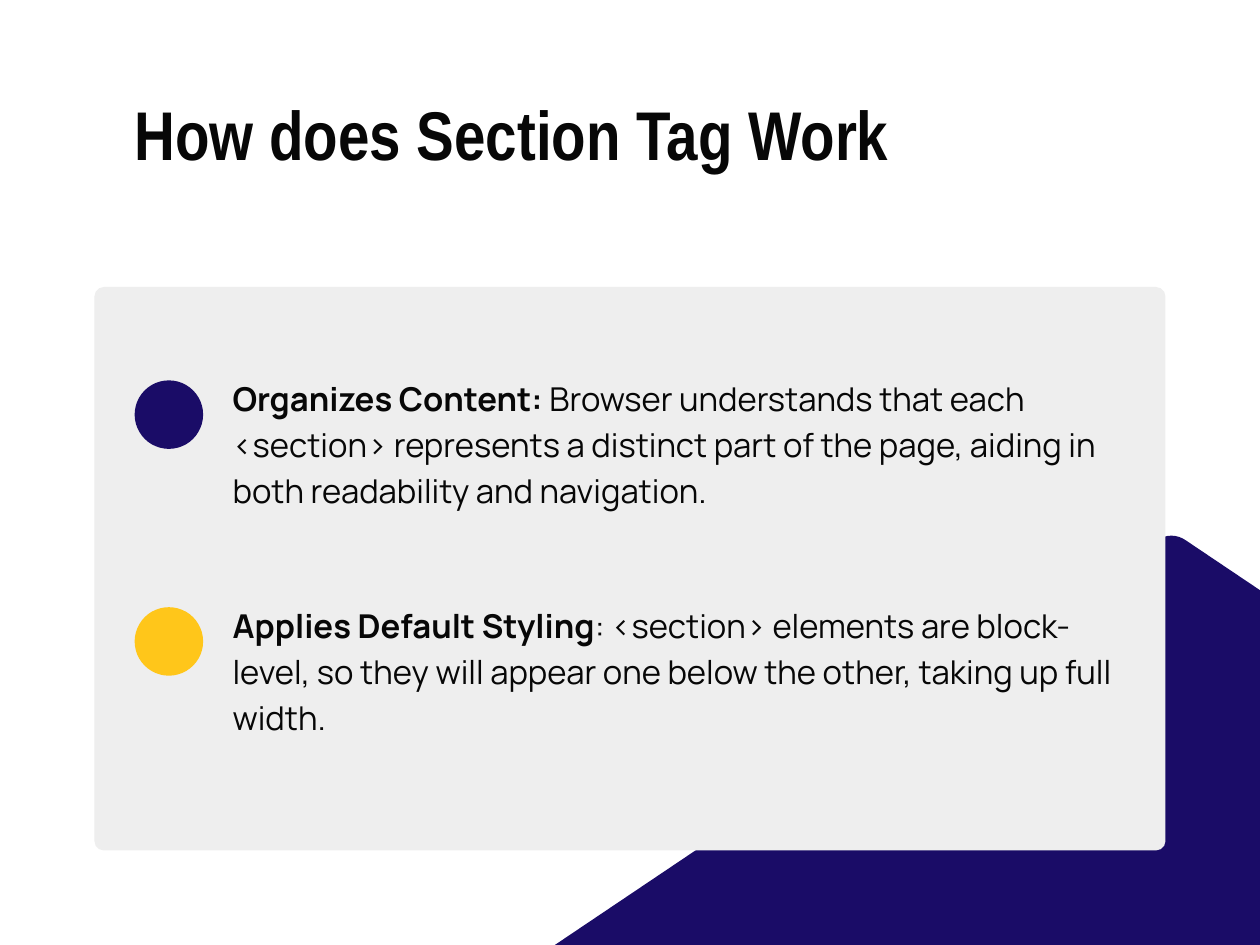
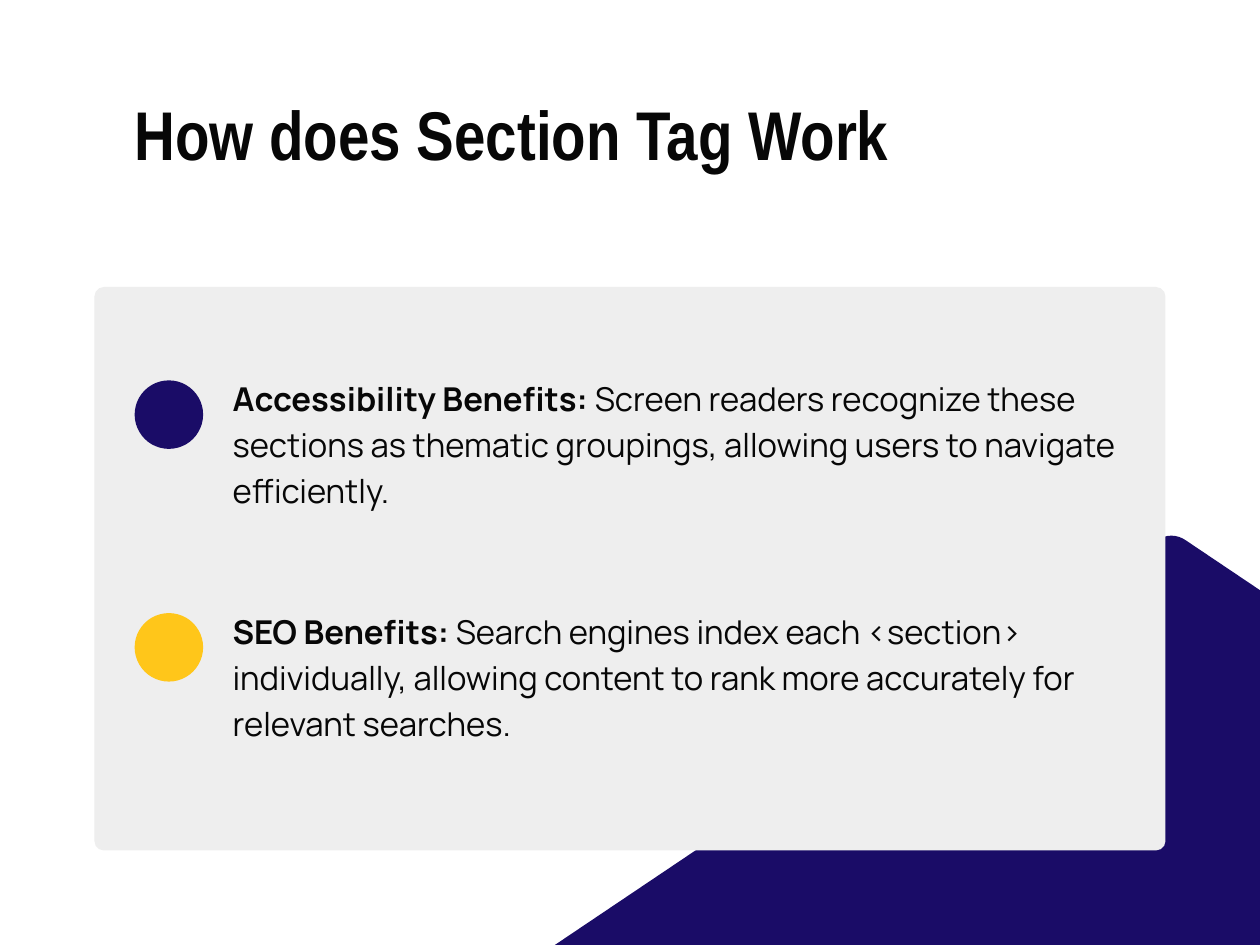
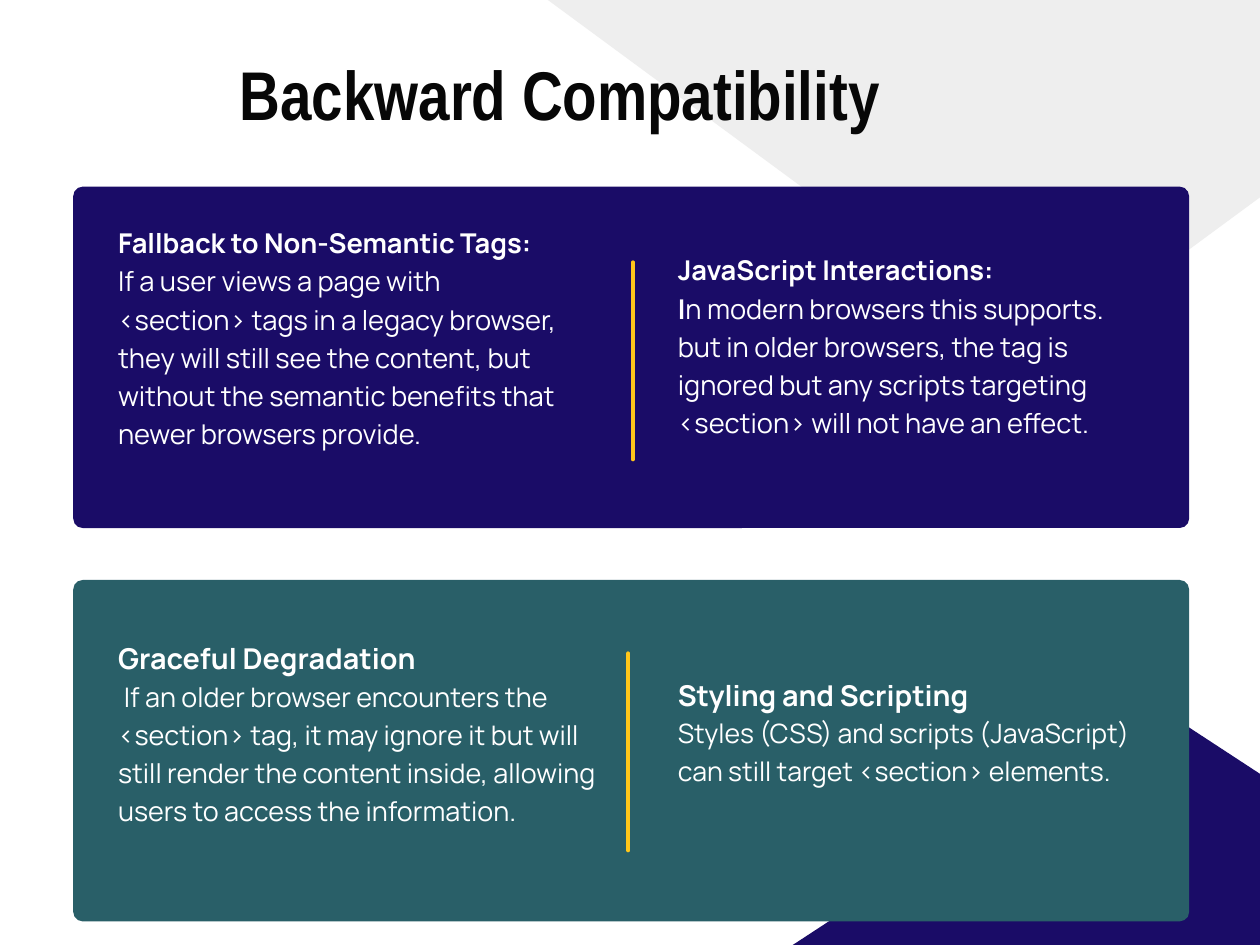
from lxml import etree
from pptx import Presentation
from pptx.dml.color import RGBColor
from pptx.enum.shapes import MSO_CONNECTOR, MSO_SHAPE
from pptx.enum.text import MSO_ANCHOR, MSO_AUTO_SIZE, PP_ALIGN
from pptx.oxml.ns import qn
from pptx.util import Inches, Pt

OVAL, CARD = MSO_SHAPE.OVAL, MSO_SHAPE.ROUNDED_RECTANGLE
LINE = MSO_CONNECTOR.STRAIGHT
TOP, LEFT, GROW = MSO_ANCHOR.TOP, PP_ALIGN.LEFT, MSO_AUTO_SIZE.SHAPE_TO_FIT_TEXT

COLORS = {"navy": "1A0C67", "gold": "FFC61A", "teal": "295F68",
          "gray": "EEEEEE", "ink": "070707", "white": "FFFFFF"}
HEAD, BODY = "Arial Narrow", "Manrope"

# Slides with two points: (top, height, bold lead, rest)
WORK = "How does Section Tag Work"
POINTS = [
    [(3.15, 1.16, "Organizes Content: ",
      "Browser understands that each <section> represents a distinct part of "
      "the page, aiding in both readability and navigation."),
     (5.07, 1.16, "Applies Default Styling",
      ": <section> elements are block-level, so they will appear one below "
      "the other, taking up full width.")],
    [(3.15, 1.55, "Accessibility Benefits: ",
      "Screen readers recognize these sections as thematic groupings, "
      "allowing users to navigate efficiently."),
     (5.12, 1.16, "SEO Benefits: ",
      "Search engines index each <section> individually, allowing content to "
      "rank more accurately for relevant searches.")],
]

# Slide with two bands: (color, top, rule x, rule top, notes)
# A note: box, paragraphs as (runs, size, leading, first-line indent)
BANDS = [
    ("teal", 4.91, 5.32, 5.53, [
        ((1, 5.38, 4.14, 1.9), [
            ([("Graceful Degradation", True)], 17.5, 24.5, 0),
            ([("If an older browser encounters the <section> tag, it may "
               "ignore it but will still render the content inside, allowing "
               "users to access the information.", False)], 16.4, 23, 0.05)]),
        ((5.74, 5.71, 4.06, 1.27), [
            ([("Styling and Scripting", True)], 17.5, 22.8, 0),
            ([("Styles (CSS) and scripts (JavaScript) can still target "
               "<section> elements.", False)], 16.2, 22.8, 0)])]),
    ("navy", 1.58, 5.36, 2.22, [
        ((1, 1.87, 3.82, 2.27), [
            ([("Fallback to Non-Semantic Tags:", True)], 16.6, 23.3, 0),
            ([("If a user views a page with <section> tags in a legacy "
               "browser, they will still see the content, but without the "
               "semantic benefits that newer browsers provide.", False)],
             16.6, 23.3, 0)]),
        ((5.74, 2.1, 3.92, 1.6), [
            ([("JavaScript Interactions:", True)], 16.6, 23.3, 0),
            ([("I", True),
              ("n modern browsers this supports. but in older browsers, the "
               "tag is ignored but any scripts targeting <section> will not "
               "have an effect.", False)], 16.6, 23.3, 0)])]),
]

# Wedges: color, center x, pull of the tip curve, right half from tip to base
WEDGES = {
    "work": ("navy", 9.92, (0.05, 4.52),
             [(0.13, 4.58), (6.53, 8.88), (6.55, 8.93), (6.5, 8.96)]),
    "upper": ("gray", 8.79, (0.07, 3.01),
              [(0.17, 2.93), (5.17, -0.75), (5.19, -0.83), (5.13, -0.87)]),
    "lower": ("navy", 9.8, (0.07, 6.02),
              [(0.18, 6.1), (5.38, 9.5), (5.4, 9.57), (5.34, 9.61)]),
}


def rgb(name):
    return RGBColor.from_string(COLORS[name])


def paint(shape, color):
    shape.shadow.inherit = False
    shape.fill.solid()
    shape.fill.fore_color.rgb = rgb(color)
    shape.line.fill.background()


def add_form(slide, kind, box, color, radius=0):
    shape = slide.shapes.add_shape(kind, *map(Inches, box))
    if radius:
        shape.adjustments[0] = radius / min(box[2:])
    paint(shape, color)


def add_wedge(slide, color, mid, pull, half):
    edge, tip = half[0]
    curve = []
    for step in range(1, 8):
        t = step / 8
        x = edge * ((1 - t)**3 - t**3) + 3 * pull[0] * t * (1 - t) * (1 - 2 * t)
        curve.append((x, tip + (pull[1] - tip) * 3 * t * (1 - t)))
    ring = half[::-1] + curve + [(-x, y) for x, y in half]
    spots = [(Inches(mid + x), Inches(y)) for x, y in ring]
    form = slide.shapes.build_freeform(*spots[0], scale=1.0)
    form.add_line_segments(spots[1:], close=True)
    paint(form.convert_to_shape(), color)


def add_text(slide, box, paras, font=BODY, color="ink"):
    frame = slide.shapes.add_textbox(*map(Inches, box)).text_frame
    frame.word_wrap, frame.auto_size = True, GROW
    frame.vertical_anchor = TOP
    frame.margin_left = frame.margin_right = 0
    frame.margin_top = frame.margin_bottom = 0
    for i, (runs, size, lead, indent) in enumerate(paras):
        para = frame.add_paragraph() if i else frame.paragraphs[0]
        para.alignment, para.line_spacing = LEFT, Pt(lead)
        if indent:
            para._p.get_or_add_pPr().set("indent", str(Inches(indent)))
        for words, bold in runs:
            run = para.add_run()
            run.text = words
            run.font.name, run.font.size = font, Pt(size)
            run.font.bold, run.font.color.rgb = bold, rgb(color)


def add_title(slide, words, left, top, width):
    add_text(slide, (left, top, width, 0.61),
             [([(words, True)], 42, 42, 0)], font=HEAD)


def add_rule(slide, x, top, height=1.67):
    rule = slide.shapes.add_connector(
        LINE, Inches(x), Inches(top + height), Inches(x), Inches(top))
    rule.line.color.rgb, rule.line.width = rgb("gold"), Pt(2.25)
    rule.line._get_or_add_ln().set("cap", "rnd")
    etree.SubElement(rule._element.spPr, qn("a:effectLst"))


def new_slide(deck):
    slide = deck.slides.add_slide(deck.slide_layouts[6])
    slide.background.fill.solid()
    slide.background.fill.fore_color.rgb = rgb("white")
    return slide


def main():
    deck = Presentation()
    deck.slide_width, deck.slide_height = Inches(10.67), Inches(8)

    # Two points on a gray card
    for points in POINTS:
        slide = new_slide(deck)
        add_title(slide, WORK, 1.14, 0.89, 7.9)
        add_wedge(slide, *WEDGES["work"])
        add_form(slide, CARD, (0.8, 2.43, 9.07, 4.77), "gray", radius=0.08)
        for dot, (top, height, lead, rest) in zip(("navy", "gold"), points):
            add_text(slide, (1.97, top, 7.5, height),
                     [([(lead, True), (rest, False)], 20, 28, 0)])
            add_form(slide, OVAL, (1.14, top + 0.07, 0.58, 0.58), dot)

    # Two bands, each with two notes and a rule between
    slide = new_slide(deck)
    for name in ("upper", "lower"):
        add_wedge(slide, *WEDGES[name])
    for color, top, x, start, notes in BANDS:
        add_form(slide, CARD, (0.62, top, 9.45, 2.89), color, radius=0.08)
        add_rule(slide, x, start)
        for box, paras in notes:
            add_text(slide, box, paras, color="white")
    add_title(slide, "Backward Compatibility", 2.03, 0.55, 7.57)

    deck.save("out.pptx")


if __name__ == "__main__":
    main()
